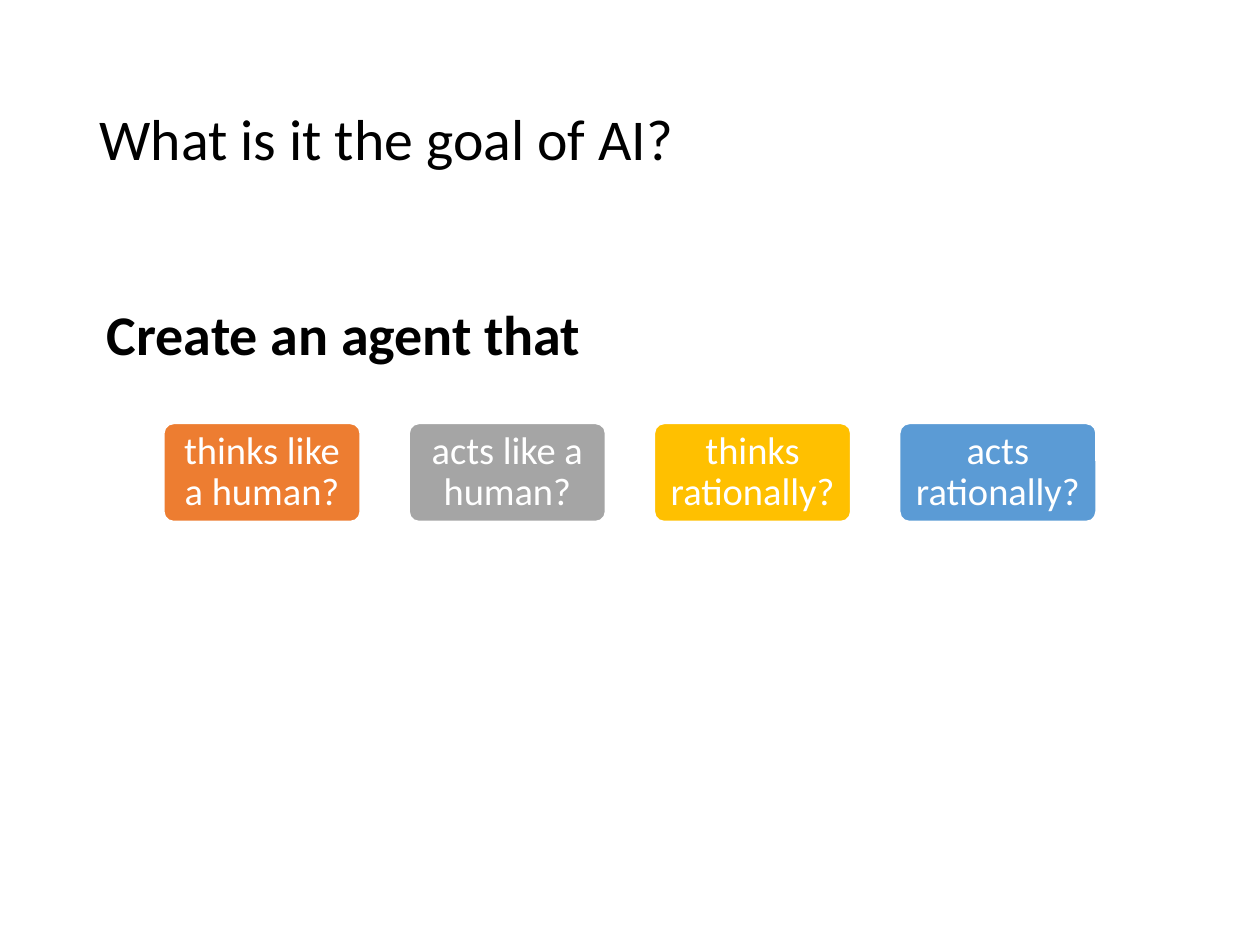
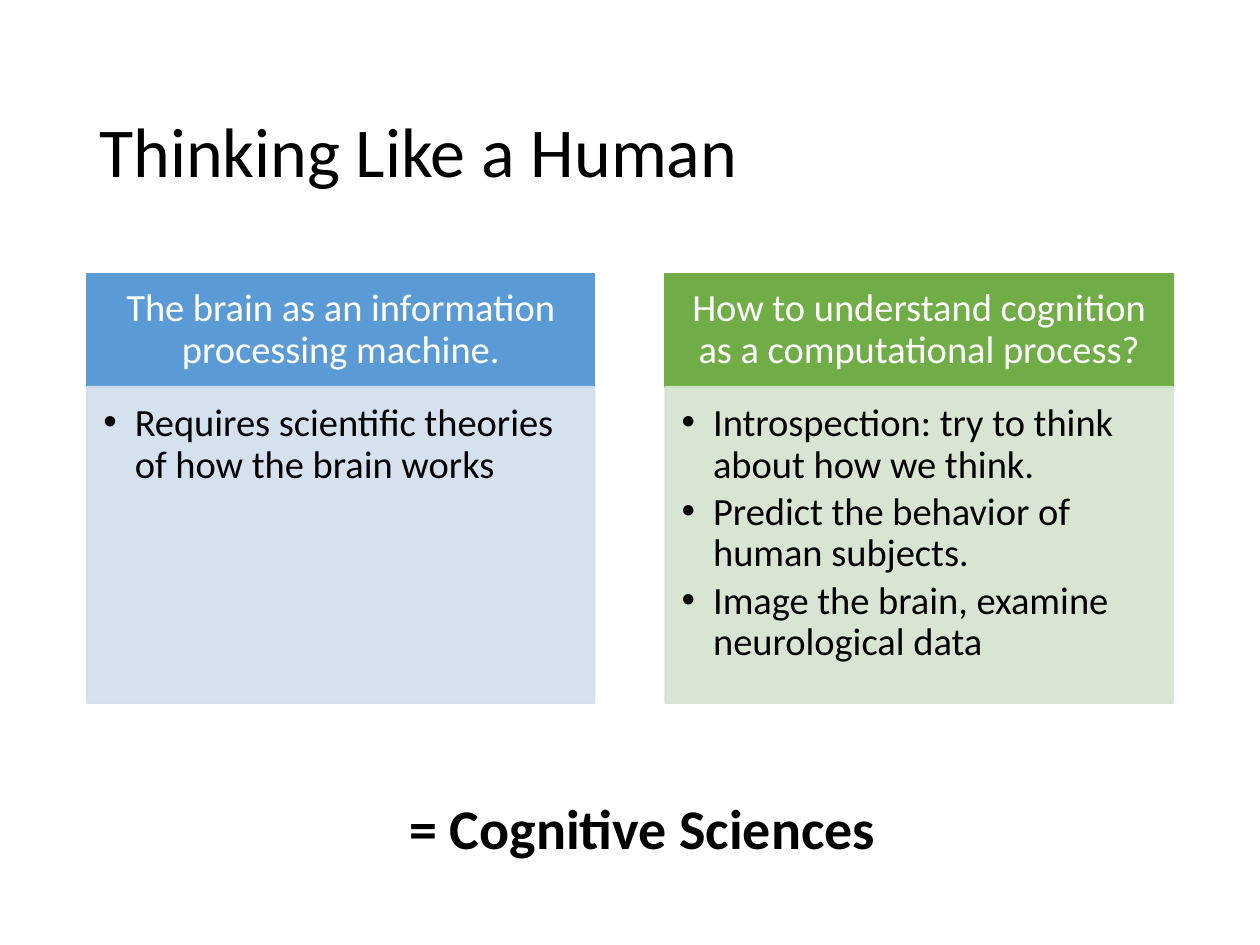
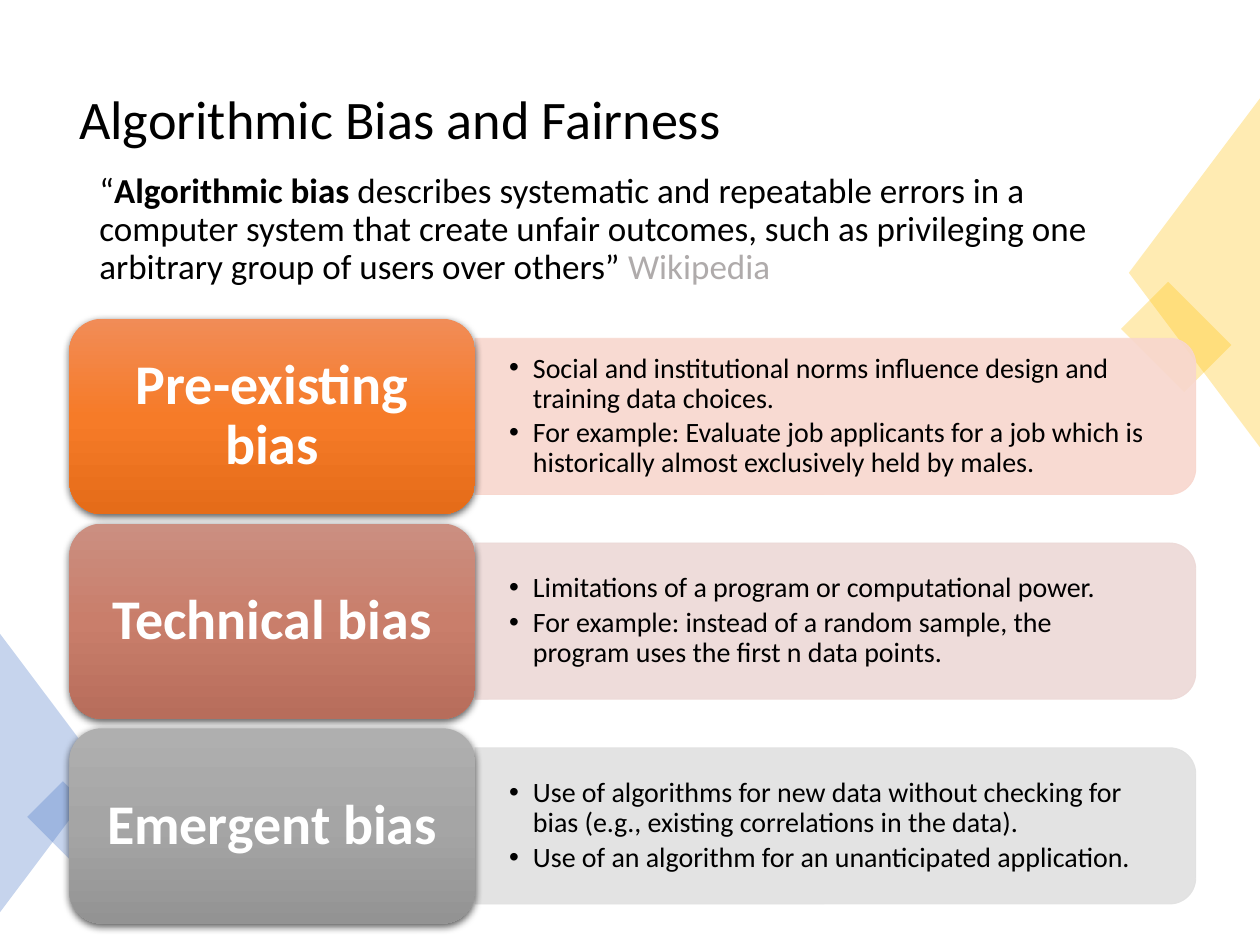
from lxml import etree
from pptx import Presentation
from pptx.dml.color import RGBColor
from pptx.enum.shapes import MSO_SHAPE as Preset
from pptx.enum.text import MSO_ANCHOR as Anchor, PP_ALIGN as Align
from pptx.oxml import parse_xml
from pptx.oxml.ns import nsdecls, qn
from pptx.util import Inches, Pt

FONT = "Calibri"
BLACK, WHITE, SOURCE_GRAY = "000000", "FFFFFF", "AFABAB"
ORANGE, GRAY, GOLD, BLUE = "ED7D31", "A5A5A5", "FFC000", "5B9BD5"
GREEN, PALE_BLUE, PALE_GREEN, DEEP_BLUE = "70AD47", "D2DEEF", "D5E3CF", "4472C4"
PLAIN_INSETS = (0.1, 0.05, 0.1, 0.05)

GOALS = [
    ("thinks like a human?", ORANGE),
    ("acts like a human?", GRAY),
    ("thinks rationally?", GOLD),
    ("acts rationally?", BLUE),
]
COLUMNS = [
    ("The brain as an information processing machine.", BLUE, PALE_BLUE,
     ["Requires scientific theories of how the brain works"]),
    ("How to understand cognition as a computational process?", GREEN, PALE_GREEN,
     ["Introspection: try to think about how we think.",
      "Predict the behavior of human subjects.",
      "Image the brain, examine neurological data"]),
]
BIASES = [
    ("Pre-existing bias", ("F18C57", "F67B28", "E56C19"), "F8D7CE",
     ["Social and institutional norms influence design and training data choices.",
      "For example: Evaluate job applicants for a job which is historically almost "
      "exclusively held by males."]),
    ("Technical bias", ("CB8F81", "C97E6B", "B76D5B"), "EDD9D7",
     ["Limitations of a program or computational power.",
      "For example: instead of a random sample, the program uses the first n data points."]),
    ("Emergent bias", ("AFAFAF", "A5A5A5", "939393"), "E1E1E1",
     ["Use of algorithms for new data without checking for bias "
      "(e.g., existing correlations in the data).",
      "Use of an algorithm for an unanticipated application."]),
]


def color(hex_string):
    return RGBColor.from_string(hex_string)


def add_preset(slide, preset, box, fill=None, line=None, line_width=1, opacity=100, rotation=0):
    shape = slide.shapes.add_shape(preset, *map(Inches, box))
    shape.shadow.inherit = False
    shape.rotation = rotation
    if fill:
        shape.fill.solid()
        shape.fill.fore_color.rgb = color(fill)
    if line:
        shape.line.color.rgb = color(line)
        shape.line.width = Pt(line_width)
    else:
        shape.line.fill.background()
    if opacity < 100:
        for element in shape._element.spPr.iter(qn("a:srgbClr")):
            etree.SubElement(element, qn("a:alpha"), val=str(opacity * 1000))
    return shape


def add_quarter_turned(slide, preset, box, rotation, **style):
    left, top, width, height = box
    shift = (width - height) / 2
    return add_preset(slide, preset, (left + shift, top - shift, height, width),
                      rotation=rotation, **style)


def set_gradient(shape, stops):
    shape.fill.background()
    properties = shape._element.spPr
    stop_xml = "".join(
        f'<a:gs pos="{index * 50000}"><a:srgbClr val="{stop}"/></a:gs>'
        for index, stop in enumerate(stops))
    gradient = parse_xml(
        f'<a:gradFill {nsdecls("a")} rotWithShape="1"><a:gsLst>{stop_xml}</a:gsLst>'
        '<a:lin ang="5400000" scaled="0"/></a:gradFill>')
    properties.replace(properties.find(qn("a:noFill")), gradient)


def set_shadow(shape):
    effects = shape._element.spPr.find(qn("a:effectLst"))
    effects.append(parse_xml(
        f'<a:outerShdw {nsdecls("a")} blurRad="57150" dist="19050" dir="5400000" '
        'algn="ctr" rotWithShape="0"><a:srgbClr val="000000"><a:alpha val="63000"/>'
        '</a:srgbClr></a:outerShdw>'))


def set_bullet(paragraph, indent):
    properties = paragraph._p.get_or_add_pPr()
    properties.set("marL", str(Inches(indent)))
    properties.set("indent", str(-Inches(indent)))
    etree.SubElement(properties, qn("a:buFont"), typeface="Arial")
    etree.SubElement(properties, qn("a:buChar"), char="•")


def write(shape, paragraphs, size, text_color=BLACK, bold=False, insets=PLAIN_INSETS,
          anchor=Anchor.TOP, align=Align.LEFT, spacing=0.9, after=0, bullet_indent=None):
    frame = shape.text_frame
    frame.word_wrap = True
    frame.vertical_anchor = anchor
    frame.margin_left, frame.margin_top, frame.margin_right, frame.margin_bottom = map(
        Inches, insets)
    for index, text in enumerate(paragraphs):
        paragraph = frame.add_paragraph() if index else frame.paragraphs[0]
        if bullet_indent:
            set_bullet(paragraph, bullet_indent)
        paragraph.alignment = align
        paragraph.line_spacing = spacing
        paragraph.space_after = Pt(round(size * after, 1))
        paragraph.font.name = FONT
        paragraph.font.size = Pt(size)
        paragraph.font.bold = bold
        paragraph.font.color.rgb = color(text_color)
        paragraph.add_run().text = text
    return frame


def add_text(slide, box, paragraphs, size, **style):
    return write(slide.shapes.add_textbox(*map(Inches, box)), paragraphs, size, **style)


def add_title(slide, box, text, size):
    add_text(slide, box, [text], size, anchor=Anchor.MIDDLE)


def add_statement(slide, box, text):
    add_text(slide, box, [text], 32, bold=True, spacing=1, insets=(0.1, 0.05, 0, 0.05))


def add_goal_row(slide, box):
    left, top, width, height = box
    card_width = 1.56
    pitch = (width - card_width) / (len(GOALS) - 1)
    for index, (goal, fill) in enumerate(GOALS):
        card = add_preset(slide, Preset.ROUNDED_RECTANGLE,
                          (left + index * pitch, top, card_width, height), fill, WHITE)
        card.adjustments[0] = 0.1
        write(card, [goal], 22, text_color=WHITE, insets=(0.05, 0.03, 0.05, 0.03),
              anchor=Anchor.MIDDLE, align=Align.CENTER, after=0.35)


def add_column(slide, box, heading, heading_fill, body_fill, points):
    left, top, width, height = box
    heading_height = 0.9
    header = add_preset(slide, Preset.RECTANGLE, (left, top, width, heading_height),
                        heading_fill, heading_fill)
    write(header, [heading], 22, text_color=WHITE, insets=(0.17, 0.1, 0.17, 0.1),
          anchor=Anchor.MIDDLE, align=Align.CENTER, after=0.35)
    body = add_preset(slide, Preset.RECTANGLE,
                      (left, top + heading_height, width, height - heading_height),
                      body_fill, body_fill, opacity=90)
    write(body, points, 22, insets=(0.13, 0.13, 0.17, 0.19), after=0.15, bullet_indent=0.25)


def add_bias_row(slide, box, name, gradient, band_fill, points):
    left, top, width, height = box
    label_width, band_height = 3.22, 1.24
    band_left = left + label_width
    band_top = top + (height - band_height) / 2
    add_quarter_turned(slide, Preset.ROUND_2_SAME_RECTANGLE,
                       (band_left, band_top, width - label_width, band_height), 90,
                       fill=band_fill, line=band_fill, line_width=0.5, opacity=90)
    add_text(slide, (band_left, band_top + 0.06, width - label_width - 0.06, band_height - 0.12),
             points, 16, insets=(0.27, 0.14, 0.27, 0.14), anchor=Anchor.MIDDLE,
             after=0.15, bullet_indent=0.19)
    label = add_preset(slide, Preset.ROUNDED_RECTANGLE, (left, top, label_width, height))
    set_gradient(label, gradient)
    set_shadow(label)
    write(label, [name], 32, text_color=WHITE, bold=True, insets=(0.13, 0.07, 0.13, 0.07),
          anchor=Anchor.MIDDLE, align=Align.CENTER, after=0.35)


def add_bias_rows(slide, box):
    left, top, width, height = box
    row_height = 1.55
    pitch = (height - row_height) / (len(BIASES) - 1)
    for index, bias in enumerate(BIASES):
        add_bias_row(slide, (left, top + index * pitch, width, row_height), *bias)


def add_definition(slide, box):
    frame = add_text(slide, box, ["“"], 20)
    paragraph = frame.paragraphs[0]
    term = paragraph.add_run()
    term.text = "Algorithmic bias"
    term.font.bold = True
    paragraph.add_run().text = (
        " describes systematic and repeatable errors in a computer system that create "
        "unfair outcomes, such as privileging one arbitrary group of users over others”")
    source = paragraph.add_run()
    source.text = " Wikipedia"
    source.font.color.rgb = color(SOURCE_GRAY)


def add_corner_ornaments(slide):
    gold = {"fill": GOLD, "opacity": 30}
    blue = {"fill": DEEP_BLUE, "opacity": 30}
    add_preset(slide, Preset.RECTANGLE, (8.98, 2.41, 0.71, 0.53), rotation=45, **gold)
    add_quarter_turned(slide, Preset.ISOSCELES_TRIANGLE, (8.96, 0.78, 1.04, 2.77), 270, **gold)
    add_quarter_turned(slide, Preset.ISOSCELES_TRIANGLE, (0, 5.03, 0.83, 2.21), 90, **blue)
    add_preset(slide, Preset.RECTANGLE, (0.28, 6.33, 0.53, 0.4), rotation=45, **blue)


def build_goal_slide(slide):
    add_title(slide, (0.69, 0.4, 8.62, 1.45), "What is it the goal of AI?", 33)
    add_goal_row(slide, (1.3, 3.36, 7.4, 0.78))
    add_statement(slide, (0.75, 2.33, 4, 0.64), "Create an agent that")


def build_thinking_slide(slide):
    add_title(slide, (0.69, 0.61, 8.62, 1.24), "Thinking Like a Human", 40)
    for index, column in enumerate(COLUMNS):
        add_column(slide, (0.69 + index * 4.59, 2.17, 4.03, 3.41), *column)
    add_statement(slide, (3.15, 6.25, 3.94, 0.64), "= Cognitive Sciences")


def build_bias_slide(slide):
    add_title(slide, (0.53, 0.35, 8.94, 1.24), "Algorithmic Bias and Fairness", 31)
    add_definition(slide, (0.69, 1.33, 8.62, 4.76))
    add_corner_ornaments(slide)
    add_bias_rows(slide, (0.55, 2.53, 8.94, 4.8))


def main():
    presentation = Presentation()
    presentation.slide_width = Inches(10)
    presentation.slide_height = Inches(7.5)
    blank = presentation.slide_layouts[6]
    for build in (build_goal_slide, build_thinking_slide, build_bias_slide):
        build(presentation.slides.add_slide(blank))
    presentation.save("out.pptx")


if __name__ == "__main__":
    main()
